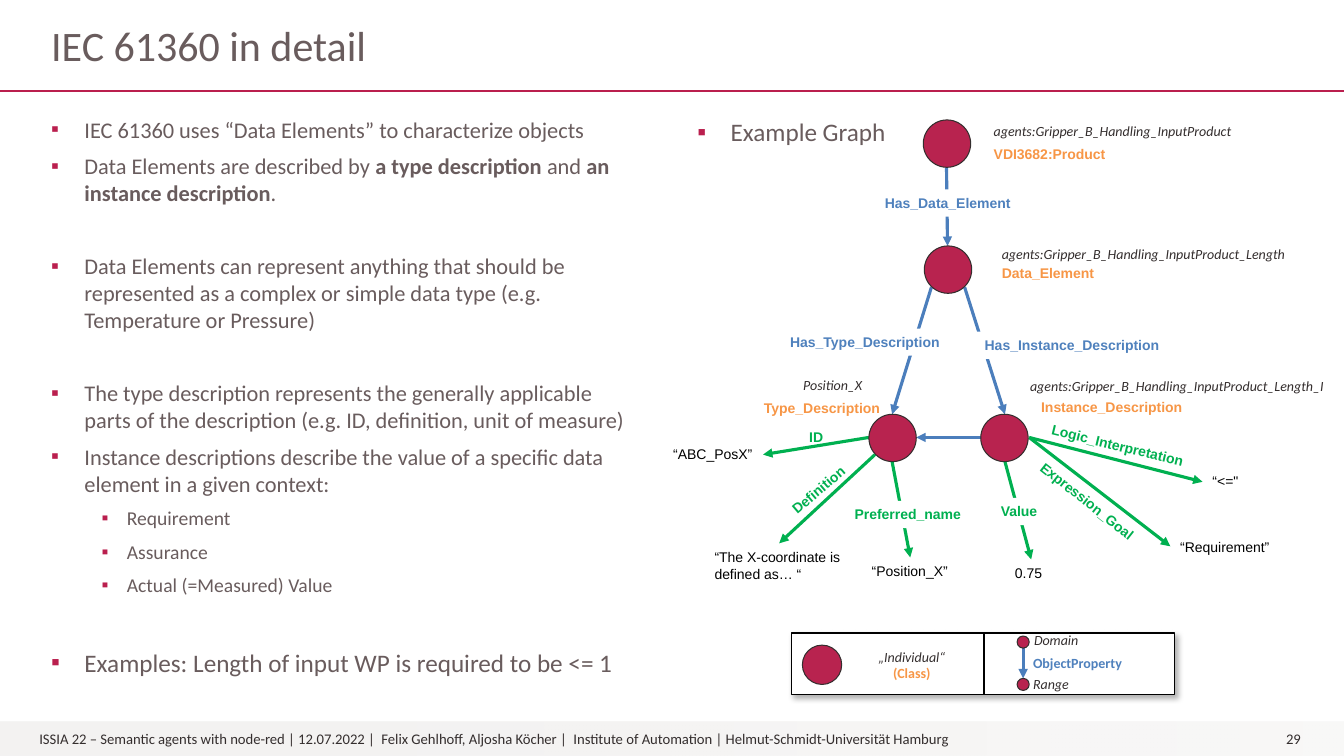
from dataclasses import dataclass

from lxml import etree
from pptx import Presentation
from pptx.dml.color import RGBColor
from pptx.enum.shapes import MSO_CONNECTOR, MSO_SHAPE
from pptx.enum.text import MSO_ANCHOR, MSO_AUTO_SIZE, PP_ALIGN
from pptx.oxml import parse_xml
from pptx.oxml.ns import nsdecls, qn
from pptx.util import Inches, Pt

STRAIGHT = MSO_CONNECTOR.STRAIGHT
OVAL, RECTANGLE = MSO_SHAPE.OVAL, MSO_SHAPE.RECTANGLE
MIDDLE = MSO_ANCHOR.MIDDLE
LEFT, CENTER = PP_ALIGN.LEFT, PP_ALIGN.CENTER
GROW, FIXED = MSO_AUTO_SIZE.SHAPE_TO_FIT_TEXT, MSO_AUTO_SIZE.NONE

CRIMSON = RGBColor(0xBA, 0x1F, 0x4E)
NODE_RED = RGBColor(0xB8, 0x23, 0x4F)
INK = RGBColor(0x34, 0x2E, 0x2E)
TAUPE = RGBColor(0x69, 0x5C, 0x5D)
SAND = RGBColor(0xA6, 0x9D, 0x97)
BLUE = RGBColor(0x4B, 0x7E, 0xBC)
LABEL_BLUE = RGBColor(0x4F, 0x81, 0xBD)
ORANGE = RGBColor(0xF7, 0x96, 0x46)
GREEN = RGBColor(0x00, 0xB0, 0x50)
BLACK = RGBColor(0, 0, 0)
WHITE = RGBColor(255, 255, 255)

CELL = Inches(0.1)
COLUMNS, ROWS = 133.33, 75
NODE_SIZE = 4.7


@dataclass(frozen=True)
class Style:
    color: RGBColor
    font: str = "Arial"
    size: float = 10
    bold: bool = False
    italic: bool = False


@dataclass(frozen=True)
class Label:
    column: float
    row: float
    width: float
    text: str
    style: Style
    height: float = 2.7
    angle: float = 0
    wrap: bool = False
    plate: bool = False


@dataclass(frozen=True)
class Line:
    start: tuple[float, float]
    end: tuple[float, float]
    color: RGBColor
    weight: float = 2.25
    arrow: bool = True


@dataclass(frozen=True)
class Bullet:
    spans: tuple[str, ...]
    size: float = 16
    before: float = 5
    margin: float = 0.33
    hang: float = 0.33


NAME = Style(INK, "Calibri", italic=True)
CLASS = Style(ORANGE, bold=True)
OBJECT = Style(LABEL_BLUE, bold=True)
DATA = Style(GREEN, bold=True)
VALUE = Style(BLACK)
FOOTER = Style(INK, "Calibri", 10.5)
TITLE = Style(TAUPE, "Calibri", 30)

POINTS = (
    Bullet(("IEC 61360 uses “Data Elements” to characterize objects",), before=0),
    Bullet(("Data Elements are described by ", "a type description ", "and ",
            "an instance description", ".")),
    Bullet(("Data Elements can represent anything that should be represented as a "
            "complex or simple data type (e.g. Temperature or Pressure)",), before=31),
    Bullet(("The type description represents the generally applicable parts of the "
            "description (e.g. ID, definition, unit of measure)",), before=31),
    Bullet(("Instance descriptions describe the value of a specific data element "
            "in a given context:",)),
    *(Bullet((kind,), size=14, margin=0.75, hang=0.25)
      for kind in ("Requirement", "Assurance", "Actual (=Measured) Value")),
    Bullet(("Examples: Length of input WP is required to be <= 1",), size=18, before=34),
)
GRAPH_POINT = (Bullet(("Example Graph",), size=18, before=0),)

NODES = ((91.6, 11.9), (91.7, 24.4), (86.2, 41.1), (97.3, 41.1))
EDGES = (
    Line((93.9, 16.6), (94, 24.4), BLUE),
    Line((92.4, 28.5), (88.5, 41.1), BLUE),
    Line((95.7, 28.5), (99.7, 41.1), BLUE),
    Line((97.3, 43.4), (90.9, 43.4), BLUE),
    Line((86.2, 43.4), (75.7, 45.1), GREEN),
    Line((86.8, 45.1), (77.3, 53.9), GREEN),
    Line((88.5, 45.8), (90.3, 55.3), GREEN),
    Line((99.7, 45.8), (102.3, 55.5), GREEN),
    Line((102.1, 43.4), (119.3, 47.8), GREEN),
    Line((102.1, 43.4), (116.1, 54.2), GREEN),
)
LABELS = (
    Label(97.6, 11.7, 25.8, "agents:Gripper_B_Handling_InputProduct", NAME),
    Label(97.6, 13.9, 13.2, "VDI3682:Product", CLASS),
    Label(98.4, 23.9, 30.4, "agents:Gripper_B_Handling_InputProduct_Length", NAME),
    Label(98.4, 25.8, 11.3, "Data_Element", CLASS),
    Label(78.7, 36.9, 8, "Position_X", NAME),
    Label(74.8, 39.1, 14.1, "Type_Description", CLASS),
    Label(101.2, 37, 31.4, "agents:Gripper_B_Handling_InputProduct_Length_I", NAME),
    Label(102.3, 39, 16.1, "Instance_Description", CLASS),
    Label(86.8, 18.8, 14.6, "Has_Data_Element", OBJECT, plate=True),
    Label(77.4, 32.6, 17.1, "Has_Type_Description", OBJECT, plate=True),
    Label(96.7, 32.9, 19.5, "Has_Instance_Description", OBJECT, plate=True),
    Label(79.3, 42, 3.4, "ID", DATA),
    Label(77, 47.2, 8.5, "Definition", DATA, angle=319.5),
    Label(83.8, 49.7, 12.6, "Preferred_name", DATA, plate=True),
    Label(98.3, 49.4, 5.7, "Value", DATA, plate=True),
    Label(103.2, 42.9, 15.7, "Logic_Interpretation", DATA, angle=13.7, wrap=True),
    Label(101.2, 48.4, 13.4, "Expression_Goal", DATA, angle=38.2),
    Label(65.8, 43.7, 9.9, "“ABC_PosX”", VALUE),
    Label(69.9, 53.9, 14.7, "“The X-coordinate is defined as… “", VALUE, 4.4, wrap=True),
    Label(85.5, 55.3, 9.6, "“Position_X”", VALUE, wrap=True),
    Label(99.7, 55.5, 5.2, "0.75", VALUE, wrap=True),
    Label(119.3, 46.4, 10.8, "“<=\"", VALUE, wrap=True),
    Label(116.1, 52.9, 11.5, "“Requirement”", VALUE, wrap=True),
)
LEGEND_LABELS = (
    Label(101.5, 64.4, 12.2, "ObjectProperty", Style(LABEL_BLUE, "Calibri", bold=True), wrap=True),
    Label(101.6, 62.2, 8, "Domain", NAME, wrap=True),
    Label(101.5, 66.5, 8, "Range", NAME, wrap=True),
)


def cells(*counts: float) -> list[int]:
    return [round(count * CELL) for count in counts]


def add_span(para, text: str, style: Style) -> None:
    span = para.add_run()
    span.text = text
    span.font.name, span.font.size = style.font, Pt(style.size)
    span.font.bold, span.font.italic = style.bold, style.italic
    span.font.color.rgb = style.color


def add_label(shapes, label: Label):
    box = shapes.add_textbox(*cells(label.column, label.row, label.width, label.height))
    box.rotation = label.angle
    box.text_frame.word_wrap = label.wrap
    box.text_frame.auto_size = GROW
    if label.plate:
        box.fill.solid()
        box.fill.fore_color.rgb = WHITE
    add_span(box.text_frame.paragraphs[0], label.text, label.style)
    return box


def add_line(shapes, line: Line) -> None:
    connector = shapes.add_connector(STRAIGHT, *cells(*line.start, *line.end))
    connector.line.color.rgb = line.color
    connector.line.width = Pt(line.weight)
    if line.arrow:
        etree.SubElement(connector.line._get_or_add_ln(), qn("a:tailEnd"), type="triangle")
    etree.SubElement(connector._element.spPr, qn("a:effectLst"))


def add_shape(shapes, kind, area: tuple, fill: RGBColor, outline: RGBColor, weight: float):
    shape = shapes.add_shape(kind, *cells(*area))
    shape.shadow.inherit = False
    shape.fill.solid()
    shape.fill.fore_color.rgb = fill
    shape.line.color.rgb = outline
    shape.line.width = Pt(weight)
    return shape


def add_node(shapes, column: float, row: float, size: float = NODE_SIZE) -> None:
    add_shape(shapes, OVAL, (column, row, size, size), NODE_RED, INK, 0.75)


def add_bullets(shapes, area: tuple, bullets: tuple[Bullet, ...]) -> None:
    box = shapes.add_textbox(*cells(*area))
    box.text_frame.word_wrap = True
    for index, bullet in enumerate(bullets):
        para = box.text_frame.add_paragraph() if index else box.text_frame.paragraphs[0]
        properties = para._p.get_or_add_pPr()
        properties.set("marL", str(Inches(bullet.margin)))
        properties.set("indent", str(-Inches(bullet.hang)))
        color = etree.SubElement(properties, qn("a:buClr"))
        etree.SubElement(color, qn("a:srgbClr"), val=str(CRIMSON))
        etree.SubElement(properties, qn("a:buFont"), typeface="Arial")
        etree.SubElement(properties, qn("a:buChar"), char="▪")
        para.space_before, para.space_after = Pt(bullet.before), Pt(2)
        for position, text in enumerate(bullet.spans):
            add_span(para, text, Style(TAUPE, "Calibri", bullet.size, bold=position % 2 == 1))


def add_frame(shapes) -> None:
    title = add_label(shapes, Label(4.1, 1, 113.6, "IEC 61360 in detail", TITLE, 7.6, wrap=True))
    title.text_frame.auto_size = FIXED
    title.text_frame.vertical_anchor = MIDDLE
    title.text_frame.paragraphs[0].line_spacing = 0.9
    add_line(shapes, Line((0, 9), (COLUMNS, 9), CRIMSON, 1.5, arrow=False))

    band = add_shape(shapes, RECTANGLE, (0, 71.6, COLUMNS, 3.4), SAND, SAND, 0.75)
    band.line.fill.background()
    band.fill.gradient()
    band.fill.gradient_angle = 0
    for stop, position in zip(band.fill.gradient_stops, (0.28, 1)):
        stop.color.rgb, stop.position = SAND, position
    for tone, opacity in zip(band._element.xpath(".//a:gs/a:srgbClr"), (13, 7)):
        etree.SubElement(tone, qn("a:alpha"), val=str(opacity * 1000))
    band.text_frame.margin_left = Inches(0.39)
    band.text_frame.vertical_anchor = MIDDLE
    para = band.text_frame.paragraphs[0]
    para.alignment = LEFT
    add_span(para, "ISSIA 22 – Semantic agents with node-red | 12.07.2022 |  Felix Gehlhoff, "
             "Aljosha Köcher |  Institute of Automation | Helmut-Schmidt-Universität Hamburg", FOOTER)
    add_label(shapes, Label(126.6, 71.9, 4.8, "29", FOOTER, 2.8))


def add_legend(shapes) -> None:
    panel = add_shape(shapes, RECTANGLE, (78.5, 62.8, 38, 6.1), WHITE, BLACK, 1)
    panel._element.spPr.find(qn("a:effectLst")).append(parse_xml(
        f'<a:outerShdw {nsdecls("a")} blurRad="{Pt(4)}" dist="{Pt(3)}" dir="2700000" algn="tl" '
        'rotWithShape="0"><a:srgbClr val="000000"><a:alpha val="31000"/></a:srgbClr></a:outerShdw>'))
    add_line(shapes, Line((97.6, 62.9), (97.6, 68.9), BLACK, 1, arrow=False))
    add_node(shapes, 79.6, 64, 3.9)
    individual = add_label(shapes, Label(86, 63.8, 8.9, "„Individual“", NAME, 4.4))
    class_para = individual.text_frame.add_paragraph()
    add_span(class_para, "(Class)", Style(ORANGE, "Calibri", bold=True))
    for para in individual.text_frame.paragraphs:
        para.alignment = CENTER
    add_line(shapes, Line((101.5, 64.2), (101.5, 67.3), BLUE))
    for row in (63.1, 67.3):
        add_node(shapes, 100.9, row, 1.2)
    for label in LEGEND_LABELS:
        add_label(shapes, label)


def main() -> None:
    deck = Presentation()
    deck.slide_width, deck.slide_height = cells(COLUMNS, ROWS)
    page = deck.slides.add_slide(deck.slide_layouts[6])
    add_frame(page.shapes)
    add_bullets(page.shapes, (4.1, 11, 60.7, 58.1), POINTS)
    add_bullets(page.shapes, (68.2, 11.1, 60.7, 4.4), GRAPH_POINT)
    for edge in EDGES:
        add_line(page.shapes, edge)
    for node in NODES:
        add_node(page.shapes, *node)
    for label in LABELS:
        add_label(page.shapes, label)
    add_legend(page.shapes.add_group_shape().shapes)
    deck.save("out.pptx")


if __name__ == "__main__":
    main()
